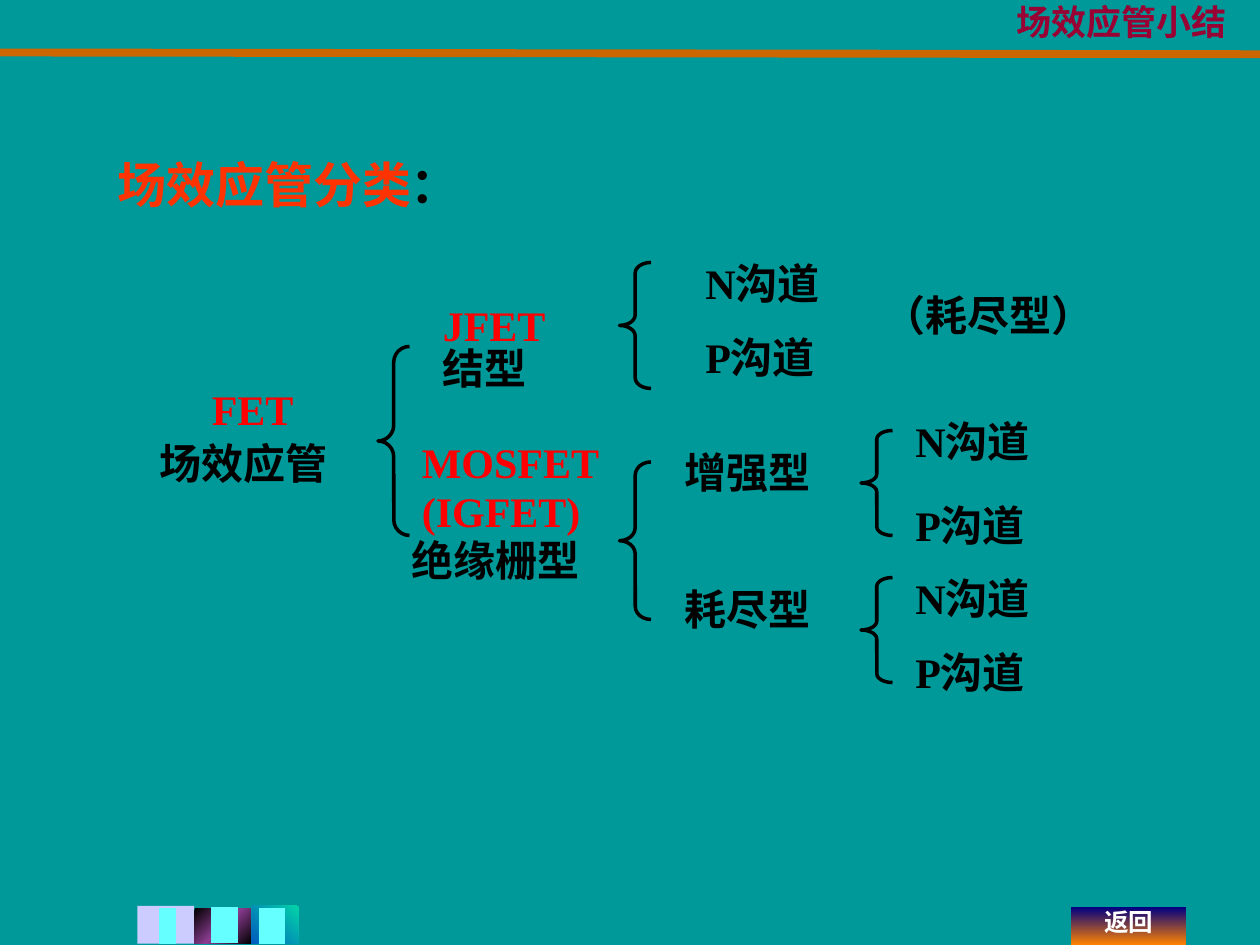
from copy import deepcopy

from lxml.etree import SubElement
from pptx import Presentation
from pptx.dml.color import RGBColor
from pptx.enum.shapes import MSO_CONNECTOR, MSO_SHAPE
from pptx.enum.text import MSO_ANCHOR, PP_ALIGN
from pptx.oxml.ns import qn
from pptx.util import Pt

COLORS = {
    "background": "009999", "black": "000000", "red": "FF0000",
    "heading": "FF3300", "title": "990033", "rule": "CC6600",
    "white": "FFFFFF", "lavender": "CCCCFF", "cyan": "66FFFF",
    "purple": "8C3D91", "green": "03D4A8", "blue": "005CBF",
    "navy": "000082", "orange": "FF8200",
}
LABEL = {"name": "Times New Roman", "size": Pt(24), "bold": True}
HEADING = {**LABEL, "size": Pt(28)}
BUTTON = {**LABEL, "size": Pt(14)}
TITLE = {"name": "Arial", "size": Pt(20), "bold": True}


def write_runs(paragraph, runs, font_format):
    for text, color in runs:
        run = paragraph.add_run()
        run.text = text
        for name, value in font_format.items():
            setattr(run.font, name, value)
        run.font.color.rgb = RGBColor.from_string(COLORS[color])


def add_line(x1, y1, x2, y2, color, width):
    line = slide.shapes.add_connector(
        MSO_CONNECTOR.STRAIGHT, Pt(x1), Pt(y1), Pt(x2), Pt(y2))
    line.line.color.rgb = RGBColor.from_string(COLORS[color])
    line.line.width = Pt(width)
    SubElement(line._element.spPr, qn("a:effectLst"))


presentation = Presentation()
presentation.slide_width, presentation.slide_height = Pt(720), Pt(540)
slide = presentation.slides.add_slide(presentation.slide_layouts[6])
slide.background.fill.solid()
slide.background.fill.fore_color.rgb = RGBColor.from_string(COLORS["background"])

# Heading and tree labels: left, top, width, runs, format
labels = [
    (60, 78, 264, [("场效应管分类", "heading"), ("：", "black")], HEADING),
    (498, 156, 156, [("（耗尽型）", "black")], LABEL),
]
for left, top, width, text, color in [
    (114, 210, 102, "FET", "red"),
    (84, 240.5, 138, "场效应管", "black"),
    (246, 162, 102, "JFET", "red"),
    (246, 186.5, 102, "结型", "black"),
    (234, 240, 150, "MOSFET", "red"),
    (234, 268, 144, "(IGFET)", "red"),
    (228, 296, 144, "绝缘栅型", "black"),
    (384, 246, 102, "增强型", "black"),
    (384, 324, 102, "耗尽型", "black"),
]:
    labels.append((left, top, width, [(text, color)], LABEL))

# Each pair of channel types
for left, n_top, p_top in [(396, 138, 180), (516, 228, 276), (516, 318, 360)]:
    for top, text in [(n_top, "N沟道"), (p_top, "P沟道")]:
        labels.append((left, top, 102, [(text, "black")], LABEL))

for left, top, width, runs, font_format in labels:
    height = font_format["size"].pt * 1.7
    box = slide.shapes.add_textbox(Pt(left), Pt(top), Pt(width), Pt(height))
    box.text_frame.word_wrap = True
    paragraph = box.text_frame.paragraphs[0]
    paragraph.line_spacing = 1.2
    write_runs(paragraph, runs, font_format)

# Braces: each curl is a twelfth of the height
BRACE_WIDTH = 18
for left, top, height in [
    (216, 198, 108), (354, 150, 72), (354, 264, 90), (492, 246, 60), (492, 330, 60),
]:
    brace = slide.shapes.add_shape(
        MSO_SHAPE.LEFT_BRACE, Pt(left), Pt(top), Pt(BRACE_WIDTH), Pt(height))
    brace.shadow.inherit = False
    brace.fill.background()
    brace.line.color.rgb = RGBColor.from_string(COLORS["black"])
    brace.line.width = Pt(2)
    brace.adjustments[0] = height / 12 / BRACE_WIDTH

# Bottom tiles and return button: left, top, width, height, colours, angle, stripe
for left, top, width, height, colors, angle, stripe in [
    (78.5, 517.7, 32.4, 21.6, ["lavender"], 0, (95.6, 519.1, 10)),
    (111.2, 519, 32.4, 20.4, ["black", "purple", "black"], 225, (128.3, 518.4, 15)),
    (144, 517.7, 26.7, 21.6, ["green", "blue"], 135, (155.4, 519.1, 15)),
    (612, 518.4, 66, 21.6, ["navy", "orange"], 90, None),
]:
    tile = slide.shapes.add_shape(
        MSO_SHAPE.RECTANGLE, Pt(left), Pt(top), Pt(width), Pt(height))
    tile.shadow.inherit = False
    tile.line.fill.background()
    if len(colors) == 1:
        tile.fill.solid()
        tile.fill.fore_color.rgb = RGBColor.from_string(COLORS[colors[0]])
    else:
        tile.fill.gradient()
        tile.fill.gradient_angle = 360 - angle
        stop_list = tile._element.spPr.find(".//" + qn("a:gsLst"))
        for _ in colors[2:]:
            stop_list.append(deepcopy(stop_list[-1]))
        for index, stop in enumerate(tile.fill.gradient_stops):
            stop.position = index / (len(colors) - 1)
            stop.color.rgb = RGBColor.from_string(COLORS[colors[index]])
    if stripe:
        x, y, stripe_width = stripe
        add_line(x, y, x, y + 20.2, "cyan", stripe_width)
button = tile

# Page title and rule
title = slide.shapes.add_textbox(Pt(246), Pt(0), Pt(455), Pt(24))
title.text_frame.word_wrap = True
add_line(0, 30, 720, 31, "rule", 4.5)

for shape, anchor, alignment, run, font_format in [
    (title, MSO_ANCHOR.MIDDLE, PP_ALIGN.RIGHT, ("场效应管小结", "title"), TITLE),
    (button, MSO_ANCHOR.TOP, PP_ALIGN.CENTER, ("返回", "white"), BUTTON),
]:
    frame = shape.text_frame
    for side in ("left", "top", "right", "bottom"):
        setattr(frame, f"margin_{side}", 0)
    frame.vertical_anchor = anchor
    frame.paragraphs[0].alignment = alignment
    write_runs(frame.paragraphs[0], [run], font_format)

presentation.save("out.pptx")
